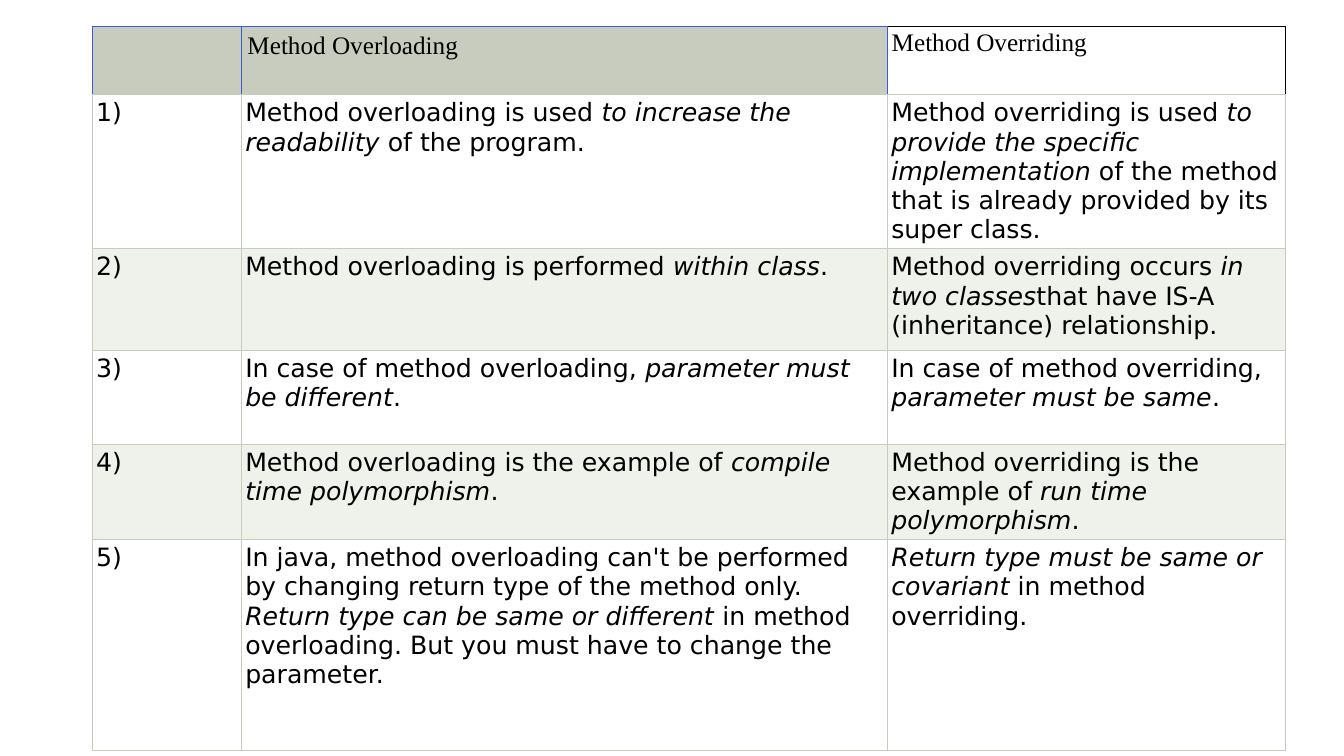
from dataclasses import dataclass

from lxml.etree import SubElement
from pptx import Presentation
from pptx.dml.color import RGBColor
from pptx.oxml.ns import qn
from pptx.table import _Cell as Cell
from pptx.util import Pt

BLACK = RGBColor(0x00, 0x00, 0x00)
WHITE = RGBColor(0xFF, 0xFF, 0xFF)
SAGE = RGBColor(0xC7, 0xCC, 0xBE)
PALE_SAGE = RGBColor(0xEF, 0xF1, 0xEB)
BLUE = RGBColor(0x38, 0x5D, 0xD5)

SERIF = "Times New Roman"
SANS = "DejaVu Sans"


@dataclass(frozen=True)
class Border:
    color: RGBColor
    width: float = 0.75


@dataclass(frozen=True)
class Heading:
    text: str
    fill: RGBColor | None
    margins: tuple[float, float]
    borders: tuple[Border, Border, Border, Border]


@dataclass(frozen=True)
class Difference:
    """One compared point; text between asterisks is italic."""
    overloading: str
    overriding: str
    height: float


GRID = Border(SAGE)
EDGE = Border(BLUE)
OUTLINE = Border(BLACK, 1)

# Borders run left, right, top, bottom
HEADINGS = [
    Heading("", SAGE, (2.7, 2.7), (EDGE, EDGE, EDGE, GRID)),
    Heading("Method Overloading", SAGE, (4.3, 4.3), (EDGE, EDGE, EDGE, GRID)),
    Heading("Method Overriding", None, (3, 1.7), (EDGE, OUTLINE, OUTLINE, GRID)),
]

DIFFERENCES = [
    Difference(
        "Method overloading is used *to increase the readability* of the program.",
        "Method overriding is used *to provide the specific implementation*"
        " of the method that is already provided by its super class.", 108),
    Difference(
        "Method overloading is performed *within class*.",
        "Method overriding occurs *in two classes*"
        "that have IS-A (inheritance) relationship.", 72.7),
    Difference(
        "In case of method overloading, *parameter must be different*.",
        "In case of method overriding, *parameter must be same*.", 67),
    Difference(
        "Method overloading is the example of *compile time polymorphism*.",
        "Method overriding is the example of *run time polymorphism*.", 67),
    Difference(
        "In java, method overloading can't be performed by changing return type"
        " of the method only. *Return type can be same or different*"
        " in method overloading. But you must have to change the parameter.",
        "*Return type must be same or covariant* in method overriding.", 150.5),
]

LEFT, TOP = 66, 18.8
COLUMN_WIDTHS = [106.5, 461.5, 284]
HEADING_HEIGHT = 49


def write(cell: Cell, text: str, *, font: str, size: float = 18,
          color: RGBColor = BLACK) -> None:
    paragraph = cell.text_frame.paragraphs[0]
    for index, part in enumerate(text.split("*")):
        if part:
            run = paragraph.add_run()
            run.text = part
            run.font.name = font
            run.font.size = Pt(size)
            run.font.bold = False
            run.font.italic = index % 2 == 1
            run.font.color.rgb = color


def style(cell: Cell, fill: RGBColor | None, margins: tuple[float, float],
          borders: tuple[Border, ...]) -> None:
    cell.margin_left = cell.margin_right = Pt(margins[0])
    cell.margin_top = cell.margin_bottom = Pt(margins[1])
    properties = cell._tc.get_or_add_tcPr()
    for side, border in zip(("lnL", "lnR", "lnT", "lnB"), borders):
        line = SubElement(properties, qn(f"a:{side}"), w=str(Pt(border.width)))
        solid = SubElement(line, qn("a:solidFill"))
        SubElement(solid, qn("a:srgbClr"), val=str(border.color))
    if fill is None:
        cell.fill.background()
    else:
        cell.fill.solid()
        cell.fill.fore_color.rgb = fill


def main() -> None:
    presentation = Presentation()
    presentation.slide_width, presentation.slide_height = Pt(960), Pt(540)
    slide = presentation.slides.add_slide(presentation.slide_layouts[6])

    # Comparison table
    heights = [HEADING_HEIGHT] + [point.height for point in DIFFERENCES]
    comparison = slide.shapes.add_table(
        len(heights), len(COLUMN_WIDTHS), Pt(LEFT), Pt(TOP),
        Pt(sum(COLUMN_WIDTHS)), Pt(sum(heights))).table
    comparison.horz_banding = False
    for column, width in zip(comparison.columns, COLUMN_WIDTHS):
        column.width = Pt(width)
    for row, height in zip(comparison.rows, heights):
        row.height = Pt(height)

    # Heading row
    for column, heading in enumerate(HEADINGS):
        cell = comparison.cell(0, column)
        style(cell, heading.fill, heading.margins, heading.borders)
        write(cell, heading.text, font=SERIF)

    # Numbered differences on alternating bands
    for number, point in enumerate(DIFFERENCES, start=1):
        band = WHITE if number % 2 else PALE_SAGE
        texts = (f"{number})", point.overloading, point.overriding)
        for column, text in enumerate(texts):
            cell = comparison.cell(number, column)
            style(cell, band, (2.7, 2.7), (GRID,) * 4)
            write(cell, text, font=SANS)

    presentation.save("out.pptx")


if __name__ == "__main__":
    main()
